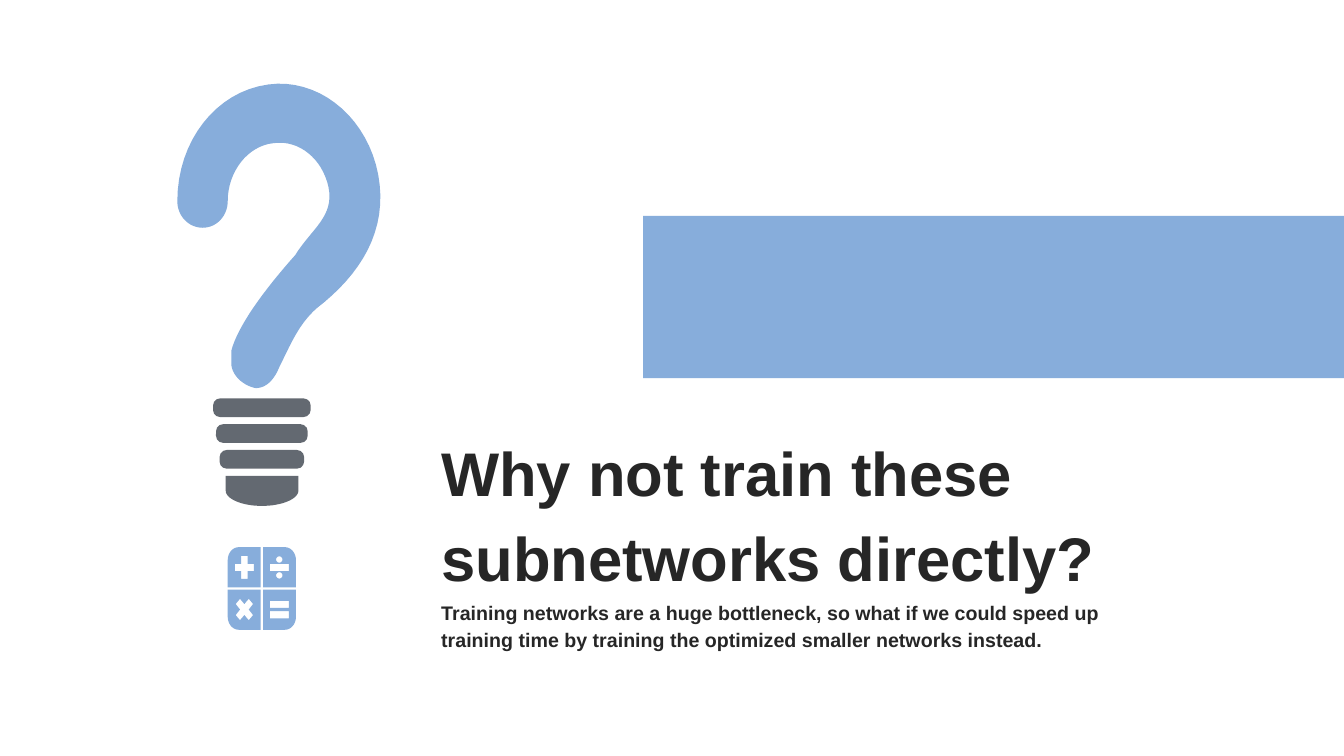
from lxml.etree import SubElement
from pptx import Presentation
from pptx.dml.color import RGBColor
from pptx.enum.shapes import MSO_SHAPE
from pptx.enum.text import MSO_ANCHOR
from pptx.oxml.ns import qn
from pptx.util import Cm, Pt

BLUE, SLATE, INK = "87ADDB", "222A35", "262626"
SLIDE_SIZE = (33.87, 19.05)
BANNER = (16.21, 5.44, 17.66, 4.09)
MESSAGE_BOX = (10.87, 10.03, 17.7, 7.04)
MESSAGE = [
    ("Why not train these subnetworks directly?", 44, 0),
    ("Training networks are a huge bottleneck, so what if we could speed up "
     "training time by training the optimized smaller networks instead.", 14, 2.8),
]

# Outlines in cm: each step holds one point (a line) or three (a Bézier curve).
QUESTION_MARK = [
    [(6.99, 2.11)],
    [(8.2, 2.08), (9.27, 3.05), (9.53, 4.39)],
    [(9.8, 5.82), (9.07, 6.93), (7.98, 7.77)],
    [(7.52, 8.18), (7.32, 8.69), (7.04, 9.25)],
    [(6.88, 9.65), (6.65, 9.78), (6.45, 9.78)],
    [(6.22, 9.75), (5.87, 9.53), (5.83, 9.19)],
    [(5.83, 8.84)],
    [(5.99, 8.23), (6.63, 7.34), (7.44, 6.43)],
    [(7.85, 5.77), (8.43, 5.46), (8.28, 4.72)],
    [(8.13, 4.01), (7.54, 3.51), (6.88, 3.61)],
    [(6.25, 3.68), (5.74, 4.32), (5.74, 5.07)],
    [(5.74, 5.44), (5.46, 5.74), (5.11, 5.74)],
    [(4.75, 5.74), (4.47, 5.44), (4.47, 5.07)],
    [(4.47, 3.56), (5.44, 2.31), (6.76, 2.13)],
]
BULB_CENTER = 6.6
BAND_WIDTHS = [2.46, 2.31, 2.13]
BAND_TOP, BAND_STEP, BAND_HEIGHT = 10.04, 0.65, 0.47
BULB_BASE = [
    [(7.52, 11.99)], [(5.69, 11.99)], [(5.69, 12.37)],
    [(5.69, 12.57), (6.1, 12.75), (6.6, 12.75)],
    [(7.11, 12.75), (7.52, 12.57), (7.52, 12.37)],
]

# Calculator keys and signs are measured from the centre of the calculator.
CALCULATOR_CENTER = (6.6, 14.83)
KEY = [
    [(0.03, 0.03)], [(0.86, 0.03)], [(0.86, 0.71)],
    [(0.86, 0.89), (0.74, 1.04), (0.58, 1.04)], [(0.03, 1.04)],
]
SIGN_X, SIGN_Y = 0.44, 0.53
PLUS_QUARTER = [(0.08, 0.29), (0.08, 0.09), (0.24, 0.09)]
TIMES_QUARTER = [(0, 0.14), (0.11, 0.27), (0.22, 0.14), (0.11, 0)]
BAR_QUARTER = [(0.24, 0.09)]
DOT_RADIUS, DOT_OFFSET, EQUALS_OFFSET = 0.08, 0.2, 0.13


def rgb(color):
    return RGBColor.from_string(color)


def box(lengths):
    return [Cm(length) for length in lengths]


def paint(shape, color, opacity=None):
    shape.shadow.inherit = False
    shape.line.fill.background()
    shape.fill.solid()
    shape.fill.fore_color.rgb = rgb(color)
    if opacity:
        tint = shape.fill._xPr.find(f".//{qn('a:srgbClr')}")
        SubElement(tint, qn("a:alpha"), val=str(opacity * 1000))


def flatten(outline, pieces=16):
    """Turn line and curve steps into a list of points."""
    points = []
    for step in outline:
        if len(step) == 1:
            points += step
            continue
        curve = [points[-1], *step]
        for i in range(1, pieces + 1):
            t = i / pieces
            weights = ((1 - t) ** 3, 3 * t * (1 - t) ** 2, 3 * t * t * (1 - t), t ** 3)
            points.append(tuple(sum(w * p[axis] for w, p in zip(weights, curve))
                                for axis in (0, 1)))
    return points


def add_outline(shapes, contours, color, opacity=None):
    contours = [[(Cm(x), Cm(y)) for x, y in contour] for contour in contours]
    builder = shapes.build_freeform(*contours[0][0], scale=1.0)
    for number, contour in enumerate(contours):
        if number:
            builder.move_to(*contour[0])
        builder.add_line_segments(contour[1:], close=True)
    paint(builder.convert_to_shape(), color, opacity)


def place(points, center, flip=(1, 1)):
    return [(center[0] + flip[0] * x, center[1] + flip[1] * y) for x, y in points]


def mirror(quarter, center):
    """Complete a sign from its quarter, going once around the centre."""
    back = quarter[::-1]
    return (place(quarter, center) + place(back, center, (1, -1))
            + place(quarter, center, (-1, -1)) + place(back, center, (-1, 1)))


def calculator_contours():
    center_x, center_y = CALCULATOR_CENTER
    left, right = center_x - SIGN_X, center_x + SIGN_X
    top, bottom = center_y - SIGN_Y, center_y + SIGN_Y
    k, r = DOT_RADIUS * 0.55, DOT_RADIUS
    dot_quarter = flatten([[(0, r)], [(k, r), (r, k), (r, 0)]], 6)
    keys = [place(flatten(KEY), CALCULATOR_CENTER, (sx, sy))
            for sx in (-1, 1) for sy in (-1, 1)]
    signs = [mirror(PLUS_QUARTER, (left, top)),
             mirror(TIMES_QUARTER, (left, bottom)),
             mirror(BAR_QUARTER, (right, top))]
    for side in (-1, 1):
        signs.append(mirror(dot_quarter, (right, top + side * DOT_OFFSET)))
        signs.append(mirror(BAR_QUARTER, (right, bottom + side * EQUALS_OFFSET)))
    return keys + signs


def add_message(shapes):
    frame = shapes.add_textbox(*box(MESSAGE_BOX)).text_frame
    frame.word_wrap = True
    frame.vertical_anchor = MSO_ANCHOR.MIDDLE
    for number, (text, size, space) in enumerate(MESSAGE):
        paragraph = frame.add_paragraph() if number else frame.paragraphs[0]
        run = paragraph.add_run()
        run.text = text
        paragraph.line_spacing = 1.15
        paragraph.space_before = Pt(space)
        for name, value in {"name": "Arial", "size": Pt(size), "bold": True}.items():
            setattr(run.font, name, value)
        run.font.color.rgb = rgb(INK)


def add_bulb_socket(shapes):
    socket = shapes.add_group_shape().shapes
    for row, width in enumerate(BAND_WIDTHS):
        band = socket.add_shape(
            MSO_SHAPE.ROUNDED_RECTANGLE,
            *box((BULB_CENTER - width / 2, BAND_TOP + row * BAND_STEP, width, BAND_HEIGHT)))
        band.adjustments[0] = 0.38
        paint(band, SLATE, 70)
    add_outline(socket, [flatten(BULB_BASE)], SLATE, 70)


def main():
    deck = Presentation()
    deck.slide_width, deck.slide_height = box(SLIDE_SIZE)
    shapes = deck.slides.add_slide(deck.slide_layouts[6]).shapes
    paint(shapes.add_shape(MSO_SHAPE.RECTANGLE, *box(BANNER)), BLUE)
    add_message(shapes)
    add_bulb_socket(shapes)
    add_outline(shapes, [flatten(QUESTION_MARK)], BLUE)
    add_outline(shapes, calculator_contours(), BLUE)
    deck.save("out.pptx")


if __name__ == "__main__":
    main()
